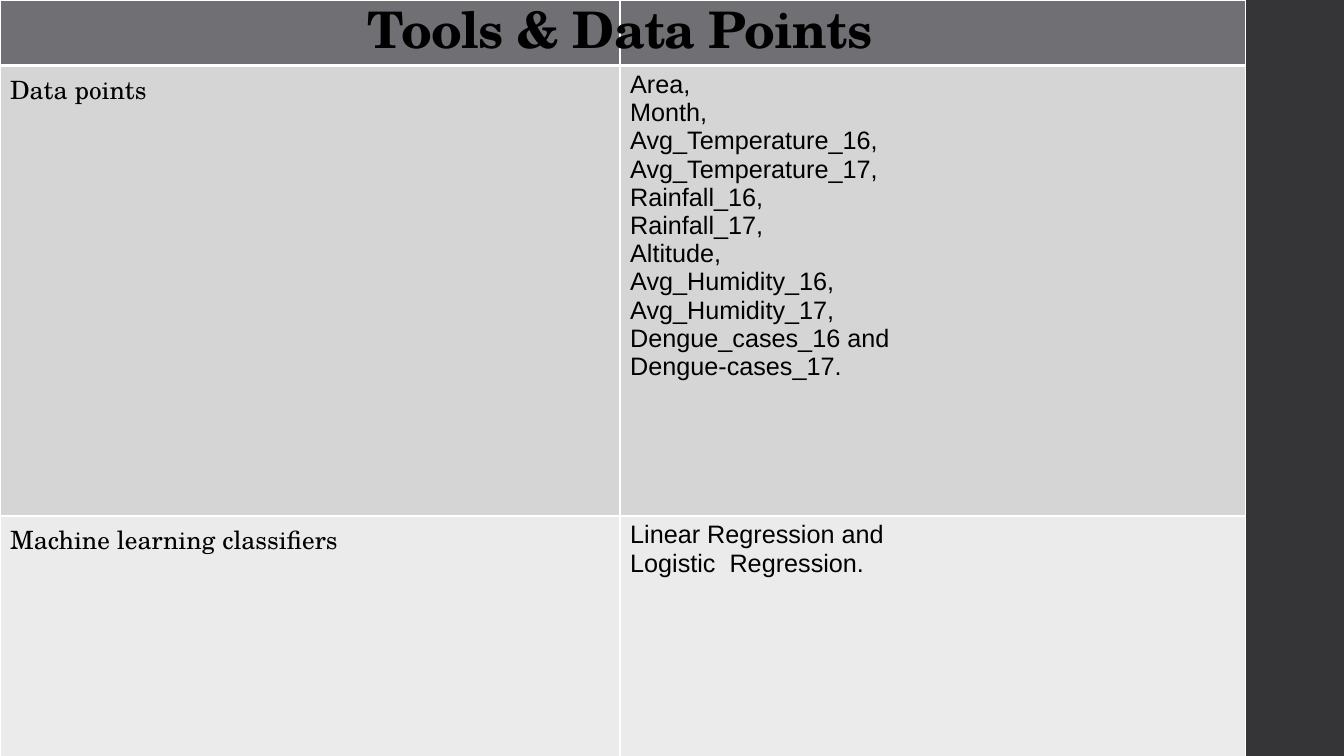
"""Build the Tools & Data Points slide: a two-column table, a title and a side band."""
from dataclasses import dataclass

import lxml.etree
import pptx
import pptx.dml.color
import pptx.enum.shapes
import pptx.enum.text
import pptx.oxml.ns
import pptx.util

Pt = pptx.util.Pt
RGB = pptx.dml.color.RGBColor.from_string
qn = pptx.oxml.ns.qn


@dataclass(frozen=True)
class Theme:
    """Colours, fonts and type sizes."""
    ink: str = "000000"
    rule: str = "FFFFFF"
    band: str = "353537"
    header: str = "6F6F74"
    dark_row: str = "D5D5D6"
    light_row: str = "EBEBEB"
    serif: str = "TeX Gyre Schola"
    sans: str = "Arial"
    title_size: int = 36
    body_size: int = 18
    rule_width: int = 1
    header_rule_width: int = 3


@dataclass(frozen=True)
class Row:
    """One table row, its height in grid steps."""
    height: float
    fill: str
    label: str = ""
    items: tuple[str, ...] = ()


THEME = Theme()
STEP = 0.05
SLIDE_SIZE = (13.33, 7.5)
COLUMNS = (123, 124)
ROWS = (
    Row(13, THEME.header),
    Row(89.4, THEME.dark_row, "Data points", (
        "Area,", "Month,", "Avg_Temperature_16,", "Avg_Temperature_17,",
        "Rainfall_16,", "Rainfall_17,", "Altitude,", "Avg_Humidity_16,",
        "Avg_Humidity_17,", "Dengue_cases_16 and", "Dengue-cases_17.")),
    Row(48.2, THEME.light_row, "Machine learning classifiers",
        ("Linear Regression and", "Logistic  Regression.")),
)


def grid(steps: float) -> int:
    """Turn grid steps into a length."""
    return pptx.util.Inches(steps * STEP)


def apply(obj, values: dict) -> None:
    """Set attributes from a dict of format values."""
    for name, value in values.items():
        setattr(obj, name, value)


def write(tf, lines: tuple[str, ...], font: str, size: int, bold: bool = False) -> None:
    """Write one paragraph per line."""
    for i, line in enumerate(lines):
        p = tf.paragraphs[0] if i == 0 else tf.add_paragraph()
        r = p.add_run()
        r.text = line
        apply(r.font, {"name": font, "size": Pt(size), "bold": bold})
        r.font.color.rgb = RGB(THEME.ink)


def border(cell, widths: dict[str, int]) -> None:
    """Draw solid cell borders of the given widths."""
    tcPr = cell._tc.get_or_add_tcPr()
    for i, (side, width) in enumerate(widths.items()):
        ln = lxml.etree.Element(qn(f"a:ln{side}"), w=str(Pt(width)))
        fill = lxml.etree.SubElement(ln, qn("a:solidFill"))
        lxml.etree.SubElement(fill, qn("a:srgbClr"), val=THEME.rule)
        tcPr.insert(i, ln)


def add_band(prs, slide) -> None:
    """Fill the strip to the right of the table."""
    left = grid(sum(COLUMNS))
    sp = slide.shapes.add_shape(pptx.enum.shapes.MSO_SHAPE.RECTANGLE, left, 0,
                                prs.slide_width - left, prs.slide_height)
    sp.shadow.inherit = False
    sp.fill.solid()
    sp.fill.fore_color.rgb = RGB(THEME.band)
    sp.line.fill.background()


def add_rows(slide) -> None:
    """Add the table of data points and classifiers."""
    table = slide.shapes.add_table(
        len(ROWS), len(COLUMNS), 0, 0, grid(sum(COLUMNS)),
        grid(sum(row.height for row in ROWS))).table
    apply(table, {"first_row": False, "horz_banding": False})
    for column, width in zip(table.columns, COLUMNS):
        column.width = grid(width)
    for i, row in enumerate(ROWS):
        table.rows[i].height = grid(row.height)
        top = THEME.header_rule_width if i == 1 else THEME.rule_width
        bottom = THEME.header_rule_width if i == 0 else THEME.rule_width
        widths = {"L": THEME.rule_width, "R": THEME.rule_width, "T": top, "B": bottom}
        for cell in table.rows[i].cells:
            cell.fill.solid()
            cell.fill.fore_color.rgb = RGB(row.fill)
            border(cell, widths)
        if row.label:
            label, items = table.rows[i].cells
            write(label.text_frame, (row.label,), THEME.serif, THEME.body_size)
            write(items.text_frame, row.items, THEME.sans, THEME.body_size)


def add_title(slide, text: str) -> None:
    """Place the title over the table's header row."""
    sp = slide.shapes.title
    apply(sp, {"left": grid(17), "top": 0, "width": grid(212), "height": grid(17.6)})
    tf = sp.text_frame
    apply(tf, {"word_wrap": True, "auto_size": pptx.enum.text.MSO_AUTO_SIZE.NONE,
               "vertical_anchor": pptx.enum.text.MSO_ANCHOR.TOP})
    write(tf, (text,), THEME.serif, THEME.title_size, bold=True)
    p = tf.paragraphs[0]
    apply(p, {"alignment": pptx.enum.text.PP_ALIGN.CENTER, "line_spacing": 0.9})
    p.runs[0].font._element.set("spc", "-50")
    slide.shapes._spTree.append(sp._element)


def main() -> None:
    """Build and save the presentation."""
    prs = pptx.Presentation()
    prs.slide_width, prs.slide_height = map(pptx.util.Inches, SLIDE_SIZE)
    slide = prs.slides.add_slide(prs.slide_layouts[5])
    add_band(prs, slide)
    add_rows(slide)
    add_title(slide, "Tools & Data Points")
    prs.save("out.pptx")


if __name__ == "__main__":
    main()
